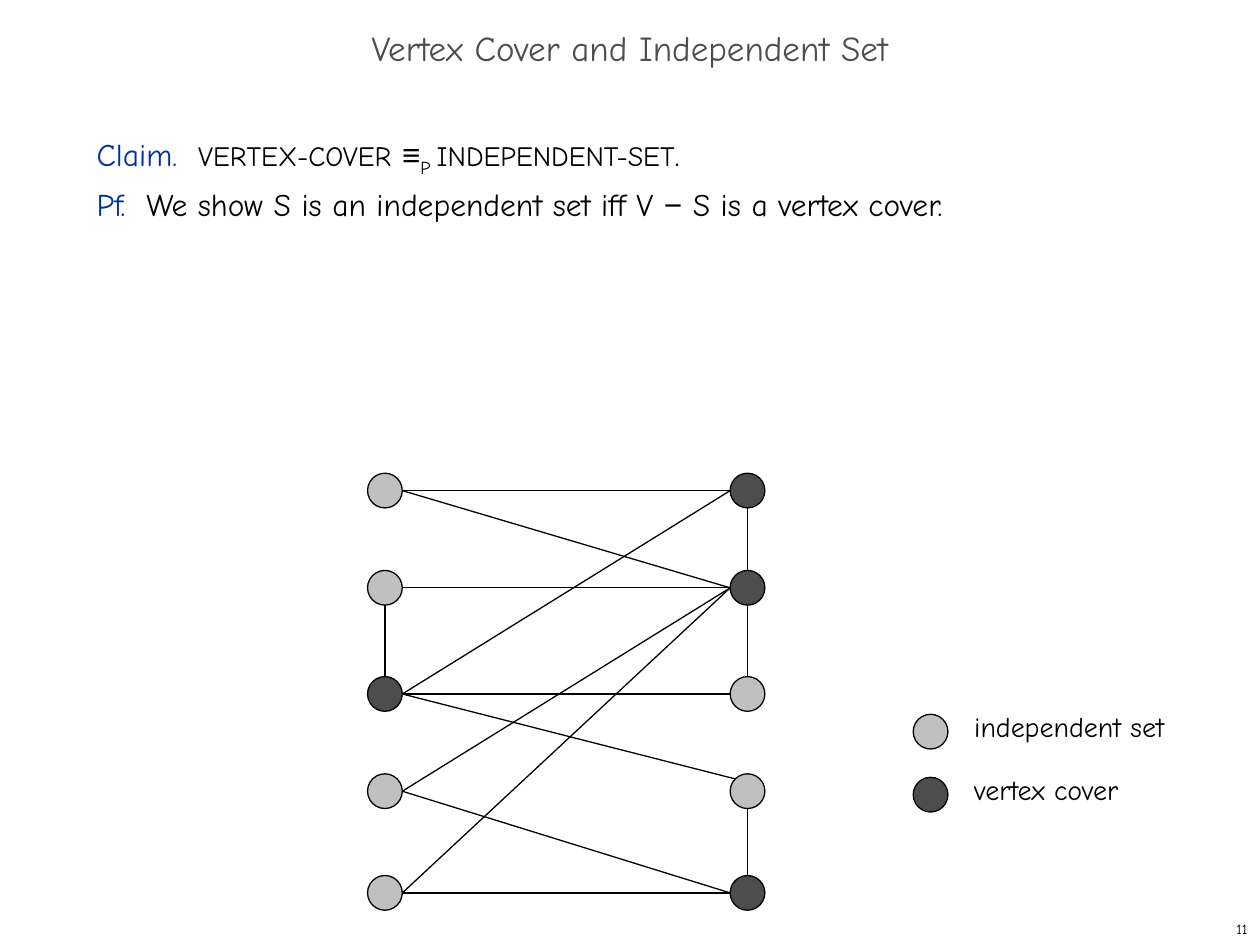
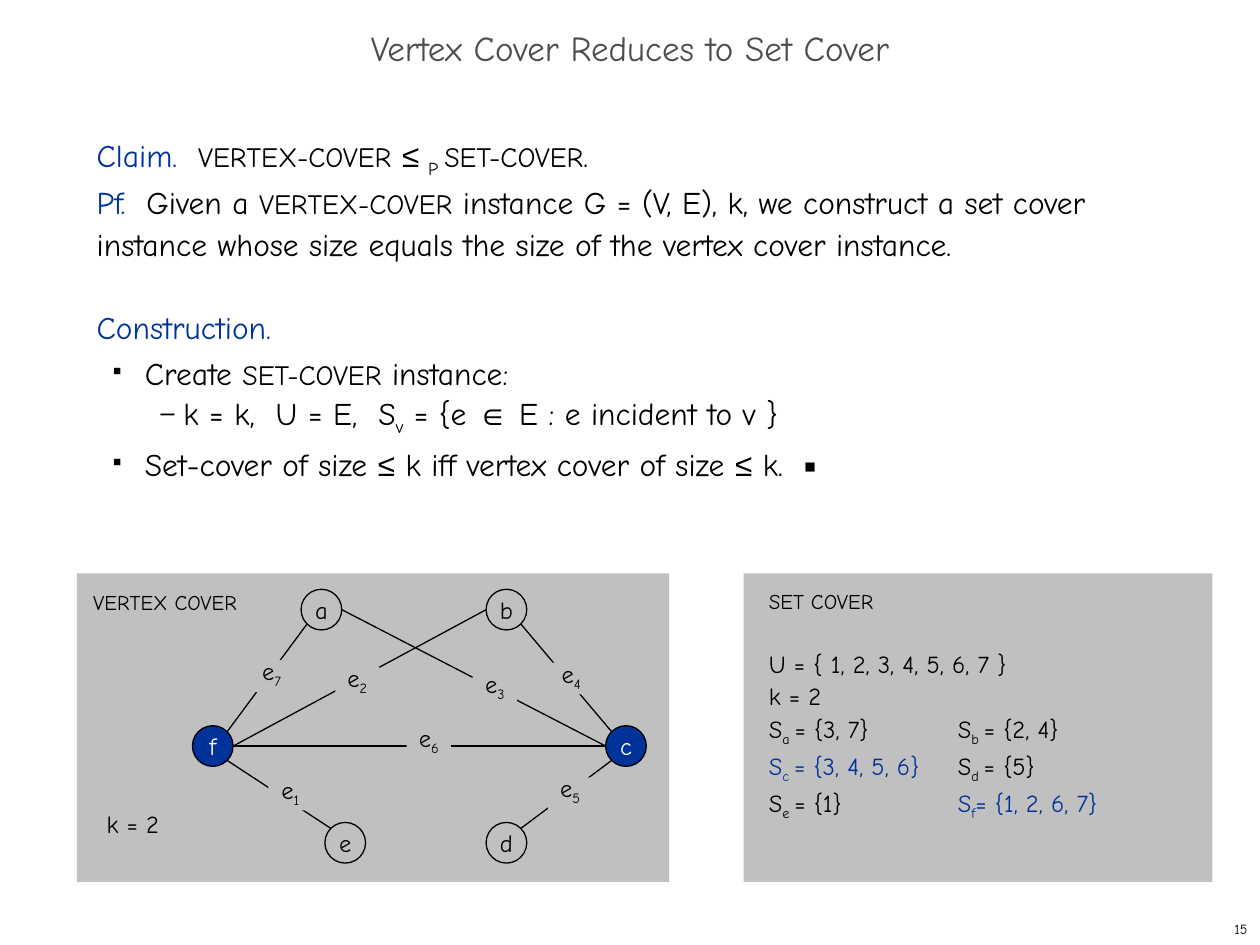
from math import cos, radians, sin

from lxml import etree
from pptx import Presentation
from pptx.dml.color import RGBColor
from pptx.enum.shapes import MSO_CONNECTOR, MSO_SHAPE
from pptx.enum.text import MSO_ANCHOR, MSO_AUTO_SIZE, PP_ALIGN
from pptx.oxml.ns import qn
from pptx.util import Cm, Pt

BLACK = RGBColor(0x00, 0x00, 0x00)
WHITE = RGBColor(0xFF, 0xFF, 0xFF)
BLUE = RGBColor(0x00, 0x33, 0x99)
GREY = RGBColor(0xC0, 0xC0, 0xC0)
DARK = RGBColor(0x4D, 0x4D, 0x4D)

FONT = "Comic Neue"
MATH = "Arial"
OVAL, RECT = MSO_SHAPE.OVAL, MSO_SHAPE.RECTANGLE
STRAIGHT = MSO_CONNECTOR.STRAIGHT
LEFT, CENTER, RIGHT = PP_ALIGN.LEFT, PP_ALIGN.CENTER, PP_ALIGN.RIGHT
TOP, MIDDLE = MSO_ANCHOR.TOP, MSO_ANCHOR.MIDDLE
FIXED = MSO_AUTO_SIZE.NONE

THIN = Pt(0.75)
EXACT = Pt(26)
# Compass points on a round node, as angles in degrees
PORTS = {"e": 0, "se": 45, "s": 90, "sw": 135,
         "w": 180, "nw": 225, "n": 270, "ne": 315}


# ---- Text ----
def bullet(par, char, pct, left, hang):
    """Give a paragraph a black bullet and a hanging indent."""
    props = par._p.get_or_add_pPr()
    props.set("marL", str(Cm(left)))
    props.set("indent", str(-Cm(hang)))
    tint = etree.SubElement(props, qn("a:buClr"))
    etree.SubElement(tint, qn("a:srgbClr"), val=str(BLACK))
    etree.SubElement(props, qn("a:buSzPct"), val=str(pct * 1000))
    etree.SubElement(props, qn("a:buChar"), char=char)


def style(font, size, color):
    font.name, font.size = FONT, Pt(size)
    font.color.rgb = color


def write(par, runs, size, color=BLACK, align=LEFT, space=None, mark=None,
          before=None):
    """Fill a paragraph; a run is plain text or (text, marks).

    Marks: b blue, k black, c small caps size, m math font, _ subscript.
    """
    par.alignment, par.line_spacing = align, space
    if before:
        par.space_before = Pt(before)
    if mark:
        bullet(par, *mark)
    style(par.font, size, color)
    for item in [runs] if isinstance(runs, str) else runs:
        text, marks = (item, "") if isinstance(item, str) else item
        run = par.add_run()
        run.text = text
        if "b" in marks:
            run.font.color.rgb = BLUE
        if "k" in marks:
            run.font.color.rgb = BLACK
        if "c" in marks:
            run.font.size = Pt(16)
        if "m" in marks:
            run.font.name = MATH
        if "_" in marks:
            run.font._element.set("baseline", "-25000")


def fill(frame, pars):
    """Write (runs, options) pairs as the paragraphs of a frame."""
    for i, (runs, opts) in enumerate(pars):
        par = frame.add_paragraph() if i else frame.paragraphs[0]
        write(par, runs, **opts)


def box(slide, x, y, w, h, pars, anchor=TOP, wrap=True):
    frame = slide.shapes.add_textbox(Cm(x), Cm(y), Cm(w), Cm(h)).text_frame
    frame.word_wrap, frame.vertical_anchor = wrap, anchor
    fill(frame, pars)


# ---- Shapes ----
def shape(slide, kind, x, y, w, h, color, line=None):
    item = slide.shapes.add_shape(kind, Cm(x), Cm(y), Cm(w), Cm(h))
    item.shadow.inherit = False
    item.fill.solid()
    item.fill.fore_color.rgb = color
    if line is None:
        item.line.fill.background()
    else:
        item.line.color.rgb, item.line.width = line, THIN
    return item


def label(item, runs, color=BLACK):
    """Centre a short 14 pt label in a shape."""
    frame = item.text_frame
    frame.word_wrap, frame.vertical_anchor = False, MIDDLE
    write(frame.paragraphs[0], runs, 14, color, CENTER)


def node(slide, spot, rad, color, name=None, ink=BLACK):
    x, y = spot
    item = shape(slide, OVAL, x - rad, y - rad, 2 * rad, 2 * rad,
                 color, BLACK)
    if name:
        label(item, name, ink)


def port(spot, rad, side):
    turn = radians(PORTS[side])
    return Cm(spot[0] + rad * cos(turn)), Cm(spot[1] + rad * sin(turn))


def edge(slide, spots, rad, rule):
    """Draw one edge, such as "a.e c.w", between two node ports."""
    ends = []
    for end in rule.split():
        name, side = end.split(".")
        ends += port(spots[name], rad, side)
    line = slide.shapes.add_connector(STRAIGHT, *ends)
    line.line.color.rgb, line.line.width = BLACK, THIN
    etree.SubElement(line._element.spPr, qn("a:effectLst"))


def start(deck, title, page):
    """Add a slide with the shared title and page number."""
    slide = deck.slides.add_slide(deck.slide_layouts[5])
    head = slide.shapes.title
    head.left, head.top = Cm(0), Cm(0.43)
    head.width, head.height = Cm(25.4), Cm(1.27)
    frame = head.text_frame
    frame.auto_size, frame.vertical_anchor = FIXED, MIDDLE
    write(frame.paragraphs[0], title, 20, DARK, CENTER, 0.7)
    box(slide, 20.12, 18.41, 5.28, 0.64,
        [(page, dict(size=8, align=RIGHT))], MIDDLE)
    return slide


def body(slide, pars):
    box(slide, 1.7, 2.54, 21.8, 15.04, pars)


# ---- Slides ----
def equal(deck):
    slide = start(deck, "Vertex Cover and Independent Set", "11")
    text = dict(size=18, space=EXACT)
    body(slide, [
        ([("Claim.  ", "b"), ("VERTEX-COVER", "c"), " ", ("≡", "m"),
          ("P ", "_"), ("INDEPENDENT-SET", "c"), "."], text),
        ([("Pf.  ", "b"), "We show S is an independent set iff V ",
          ("−", "m"), " S is a vertex cover."], text),
    ])

    # Graph: two columns of five nodes
    rad = 0.35
    rows = [9.89, 11.85, 13.99, 15.95, 18]
    spots = {f"{col}{i}": (x, y)
             for col, x in (("l", 7.76), ("r", 15.07))
             for i, y in enumerate(rows, 1)}
    cover = {"l3", "r1", "r2", "r5"}
    for rule in ("l1.e r1.w", "l1.e r2.w", "l2.e r2.w", "l3.e r1.w",
                 "l3.e r3.w", "l3.e r4.nw", "l4.e r2.w", "l4.e r5.w",
                 "l5.e r2.w", "l5.e r5.w", "l2.s l3.n", "r1.s r2.n",
                 "r2.s r3.n", "r4.s r5.n"):
        edge(slide, spots, rad, rule)
    for name, spot in spots.items():
        node(slide, spot, rad, DARK if name in cover else GREY)

    # Legend
    for y, color, text in ((14.75, GREY, "independent set"),
                           (16.02, DARK, "vertex cover")):
        node(slide, (18.76, y), rad, color)
        box(slide, 19.39, y - 0.58, 4.34, 0.94,
            [(text, dict(size=16))], wrap=False)


def graph(slide):
    """Draw the vertex cover instance on its panel."""
    shape(slide, RECT, 1.55, 11.56, 11.94, 6.22, GREY)
    rad = 0.41
    spots = {"a": (6.48, 12.29), "b": (10.21, 12.29), "c": (12.62, 15.04),
             "d": (10.21, 16.99), "e": (6.96, 16.99), "f": (4.29, 15.04)}
    for rule in ("a.e c.w", "c.sw d.ne", "b.se c.nw", "f.e b.w",
                 "f.se e.nw", "f.e c.w", "f.ne a.sw"):
        edge(slide, spots, rad, rule)
    for name, spot in spots.items():
        color, ink = (BLUE, WHITE) if name in "cf" else (GREY, BLACK)
        node(slide, spot, rad, color, name, ink)

    # Edge names, numbered from 1
    tags = [(5.41, 15.7), (6.76, 13.44), (9.53, 13.56), (11.07, 13.36),
            (11.05, 15.67), (8.2, 14.66), (5.03, 13.31)]
    for i, (x, y) in enumerate(tags, 1):
        tag = shape(slide, RECT, x, y, 0.89, 0.64, GREY)
        tag.text_frame.margin_bottom = Cm(0.25)
        label(tag, ["e", (str(i), "_")])

    box(slide, 1.63, 11.76, 4.65, 0.76,
        [("VERTEX COVER", dict(size=12))])
    box(slide, 1.9, 16.18, 3.38, 0.86, [("k = 2", dict(size=14))])


def sets(slide):
    """List the set cover instance on its panel."""
    panel = shape(slide, RECT, 14.99, 11.56, 9.45, 6.22, GREY)
    frame = panel.text_frame
    frame.word_wrap, frame.vertical_anchor = True, TOP
    frame.margin_left = Cm(0.51)
    frame.margin_top = frame.margin_bottom = Cm(0.25)
    text = dict(size=14, space=1.1)
    fill(frame, [
        ("SET COVER", dict(size=12, space=1.1)),
        ("U = { 1, 2, 3, 4, 5, 6, 7 }", dict(text, before=18.6)),
        ("k = 2", text),
        (["S", ("a ", "_"), "= {3, 7}\t\tS", ("b ", "_"), "= {2, 4}"], text),
        ([("S", "b"), ("c ", "b_"), ("= {3, 4, 5, 6}\t", "b"), "S",
          ("d ", "_"), "= {5}"], text),
        (["S", ("e ", "_"), "= {1}\t\t", ("S", "b"), ("f", "b_"),
          ("= {1, 2, 6, 7}", "b")], text),
    ])


def reduce(deck):
    slide = start(deck, "Vertex Cover Reduces to Set Cover", "15")
    text = dict(size=18, space=1.1)
    item = dict(size=18, space=EXACT, mark=("■", 35, 0.97, 0.64))
    dash = dict(size=18, space=EXACT, mark=("–", 80, 1.75, 0.46))
    body(slide, [
        ([("Claim.  ", "b"), ("VERTEX-COVER", "c"), " ", ("≤ ", "m"),
          ("P ", "_"), ("SET-COVER", "c"), "."], text),
        ([("Pf.  ", "b"), "Given a ", ("VERTEX-COVER", "c"),
          " instance G = (V, E), k, we construct a set cover instance "
          "whose size equals the size of the vertex cover instance."], text),
        ("Construction.", dict(text, color=BLUE, before=24)),
        (["Create ", ("SET-COVER", "c"), " instance:"], item),
        (["k = k,  U = E,  S", ("v", "_"), " = {e ", ("∈", "m"),
          " E : e incident to v }"], dash),
        (["Set-cover of size ", ("≤", "m"), " k iff vertex cover of size ",
          ("≤", "m"), " k.  ▪"], item),
    ])
    graph(slide)
    sets(slide)


def main():
    deck = Presentation()
    deck.slide_width, deck.slide_height = Cm(25.4), Cm(19.05)
    equal(deck)
    reduce(deck)
    deck.save("out.pptx")


if __name__ == "__main__":
    main()
